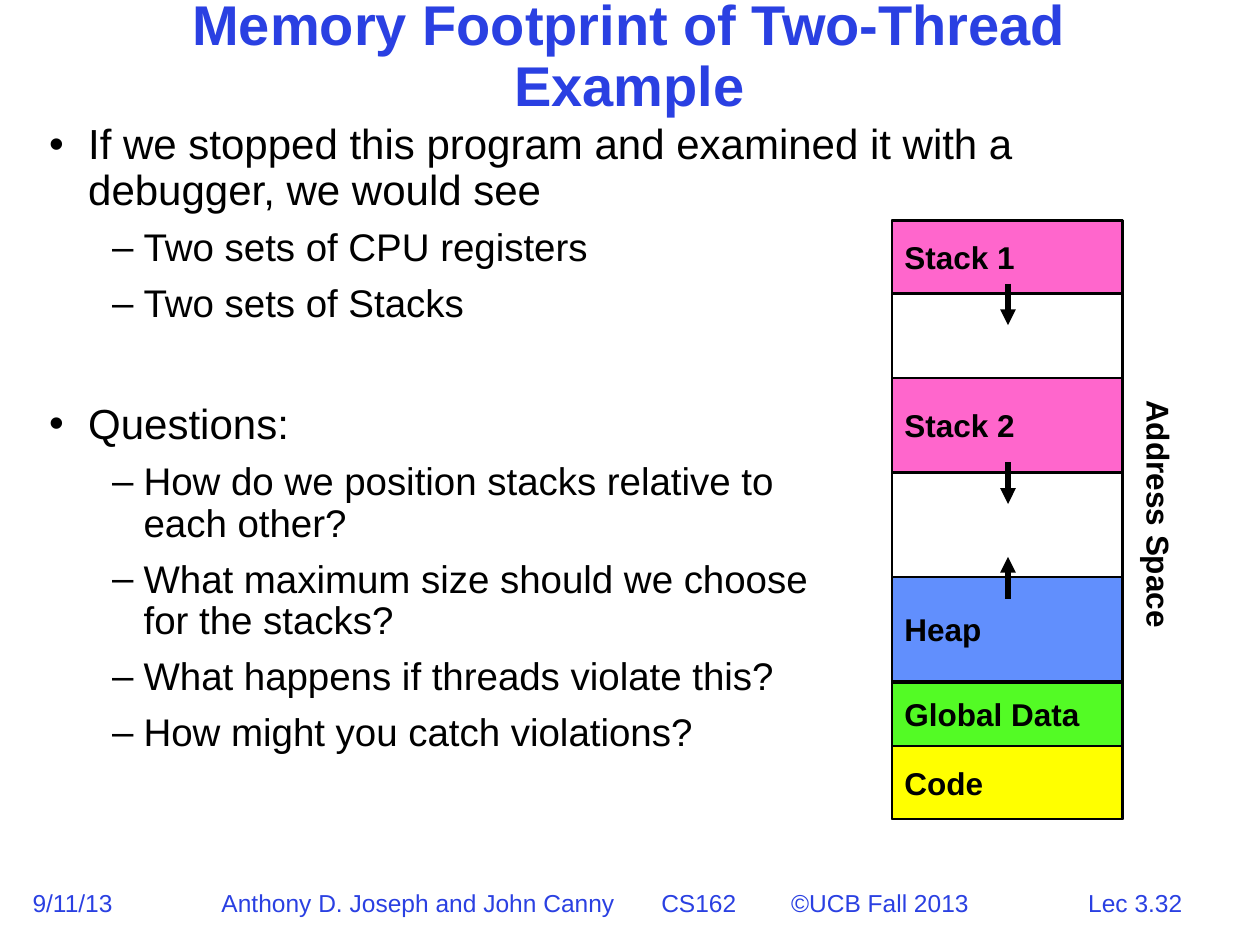
"""Builds the slide on the memory footprint of a two-thread program."""
from lxml.etree import SubElement
from pptx import Presentation
from pptx.dml.color import RGBColor
from pptx.enum.shapes import MSO_CONNECTOR, MSO_SHAPE
from pptx.enum.text import MSO_ANCHOR, MSO_AUTO_SIZE, PP_ALIGN
from pptx.oxml.ns import qn
from pptx.util import Inches, Pt

BLUE, BLACK = "2A40E2", "000000"


def rgb(value):
    return RGBColor.from_string(value)


def style(p, size, color, bold=False):
    for r in p.runs:
        r.font.name = "Arial"
        r.font.size = Pt(size)
        r.font.bold = bold
        r.font.color.rgb = rgb(color)


prs = Presentation()
prs.slide_width, prs.slide_height = Inches(10), Inches(7.5)
s = prs.slides.add_slide(prs.slide_layouts[1])

title, body = s.placeholders
title.left, title.top = Inches(1.08), Inches(0.17)
title.width, title.height = Inches(7.83), Inches(0.58)
tf = title.text_frame
tf.text = "Memory Footprint of Two-Thread Example"
tf.auto_size = MSO_AUTO_SIZE.NONE
tf.vertical_anchor = MSO_ANCHOR.MIDDLE
p = tf.paragraphs[0]
p.alignment = PP_ALIGN.CENTER
p.line_spacing = 0.9
style(p, 32, BLUE, True)

body.left, body.top = Inches(0.29), Inches(0.93)
body.width, body.height = Inches(8.92), Inches(5.58)
points = [
    (0, 9, "If we stopped this program and examined it with a debugger, we would see"),
    (1, 8.2, "Two sets of CPU registers"),
    (1, 8.2, "Two sets of Stacks"),
    (0, 44, "Questions:"),
    (1, 8.2, "How do we position stacks relative to\veach other?"),
    (1, 8.2, "What maximum size should we choose\vfor the stacks?"),
    (1, 8.2, "What happens if threads violate this?"),
    (1, 8.2, "How might you catch violations?"),
]
levels = [(0.31, -0.31, "•", 24), (0.75, -0.25, "–", 22)]
tf = body.text_frame
tf.auto_size = MSO_AUTO_SIZE.NONE
for i, (level, before, text) in enumerate(points):
    margin, indent, bullet, size = levels[level]
    p = tf.add_paragraph() if i else tf.paragraphs[0]
    p.text = text
    p.level = level
    p.line_spacing = 0.9
    p.space_before = Pt(before)
    style(p, size, BLACK)
    pPr = p._p.get_or_add_pPr()
    pPr.set("marL", str(Inches(margin)))
    pPr.set("indent", str(Inches(indent)))
    SubElement(pPr, qn("a:buChar")).set("char", bullet)

regions = [
    ("", 1.75, 4.75, "FFFFFF"),
    ("Code", 5.92, 0.58, "FFFF00"),
    ("Global Data", 5.42, 0.5, "53FB25"),
    ("Heap", 4.58, 0.83, "618FFD"),
    ("Stack 1", 1.75, 0.58, "FF66CC"),
    ("Stack 2", 3, 0.75, "FF66CC"),
]
for name, top, height, color in regions:
    sp = s.shapes.add_shape(MSO_SHAPE.RECTANGLE, Inches(7.08), Inches(top),
                            Inches(1.83), Inches(height))
    sp.shadow.inherit = False
    sp.fill.solid()
    sp.fill.fore_color.rgb = rgb(color)
    sp.line.color.rgb = rgb(BLACK)
    sp.line.width = Pt(1.5)
    if name:
        tf = sp.text_frame
        tf.text = name
        tf.vertical_anchor = MSO_ANCHOR.MIDDLE
        tf.paragraphs[0].alignment = PP_ALIGN.LEFT
        style(tf.paragraphs[0], 18, BLACK, True)

for start, end in [(2.25, 2.58), (3.67, 4), (4.75, 4.42)]:
    arrow = s.shapes.add_connector(MSO_CONNECTOR.STRAIGHT, Inches(8), Inches(start),
                                   Inches(8), Inches(end))
    arrow.line.color.rgb = rgb(BLACK)
    arrow.line.width = Pt(3)
    SubElement(arrow.line._get_or_add_ln(), qn("a:tailEnd")).set("type", "triangle")
    SubElement(arrow._element.spPr, qn("a:effectLst"))

labels = [
    ("Address Space", 8.1, 3.88, 2.2, 0.4, 90, 18, BLACK, PP_ALIGN.CENTER, []),
    ("9/11/13", 0.16, 7, 0.85, 0.33, 0, 14, BLUE, PP_ALIGN.LEFT, []),
    ("Anthony D. Joseph and John Canny\tCS162\t©UCB Fall 2013",
     1.66, 7, 6.3, 0.33, 0, 14, BLUE, PP_ALIGN.LEFT, [3.49, 4.52]),
    ("Lec 3.32", 8.2, 7, 1.62, 0.33, 0, 14, BLUE, PP_ALIGN.CENTER, []),
]
for text, left, top, width, height, angle, size, color, align, stops in labels:
    sp = s.shapes.add_textbox(Inches(left), Inches(top), Inches(width), Inches(height))
    sp.rotation = angle
    tf = sp.text_frame
    tf.word_wrap = True
    p = tf.paragraphs[0]
    p.text = text
    p.alignment = align
    style(p, size, color, angle == 90)
    if stops:
        tabs = SubElement(p._p.get_or_add_pPr(), qn("a:tabLst"))
        for stop in stops:
            SubElement(tabs, qn("a:tab"), pos=str(Inches(stop)), algn="l")

prs.save("out.pptx")
